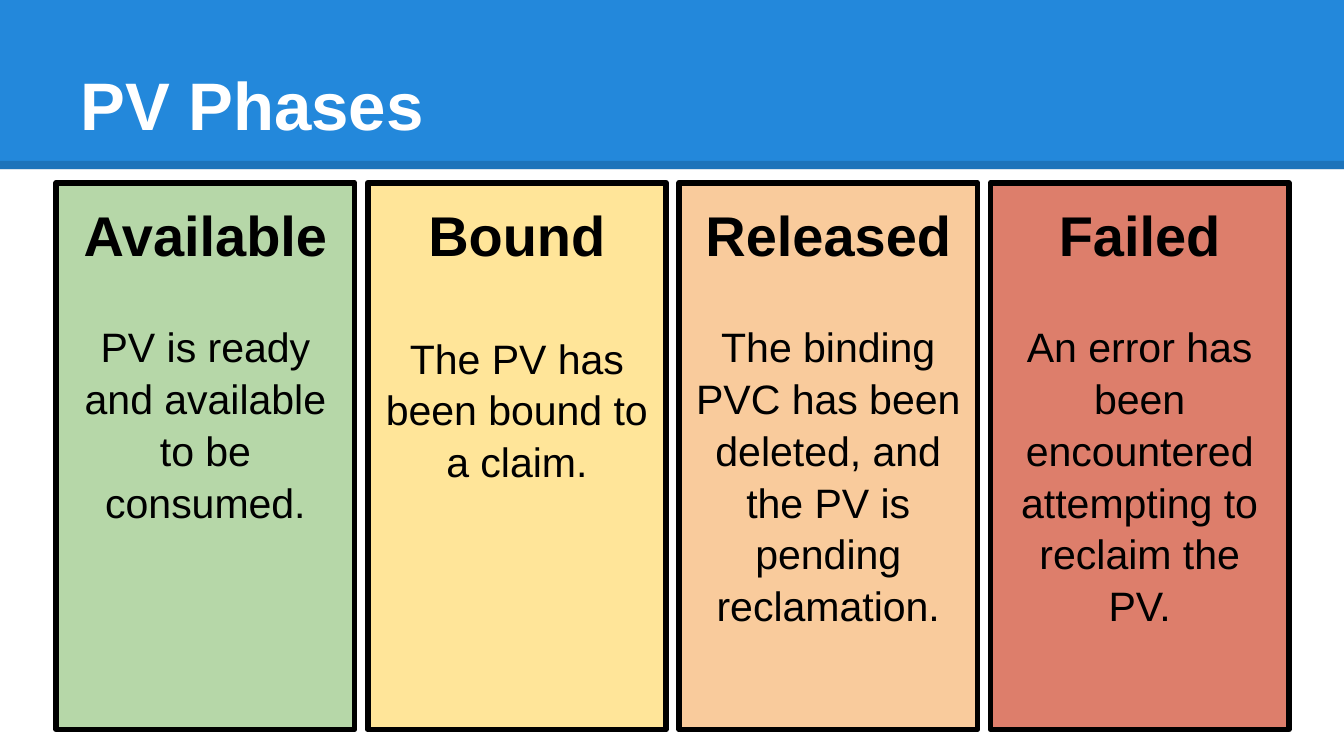
import pptx
import pptx.util
import pptx.dml.color
import pptx.enum.shapes
import pptx.enum.text
import pptx.oxml
import pptx.oxml.ns
from lxml import etree

Pt = pptx.util.Pt
SHAPE = pptx.enum.shapes.MSO_SHAPE.RECTANGLE
ANCHOR = pptx.enum.text.MSO_ANCHOR
ALIGN = pptx.enum.text.PP_ALIGN
FONT = "Arial"
BLACK = "000000"

# heading, text, fill, gap above the text
PHASES = [
    ("Available", "PV is ready and available to be consumed.", "B6D7A8", 27.5),
    ("Bound", "The PV has been bound to a claim.", "FFE599", 33.5),
    ("Released", "The binding PVC has been deleted, and the PV is pending "
     "reclamation.", "F9CB9C", 27.5),
    ("Failed", "An error has been encountered attempting to reclaim the PV.",
     "DD7E6B", 27.5),
]


def color(code):
    return pptx.dml.color.RGBColor.from_string(code)


def add_rect(slide, box, fill):
    shape = slide.shapes.add_shape(SHAPE, *map(Pt, box))
    shape.shadow.inherit = False
    shape.fill.solid()
    shape.fill.fore_color.rgb = color(fill)
    shape.line.fill.background()
    return shape


def set_frame(frame, anchor, top=7.2):
    frame.word_wrap = True
    frame.vertical_anchor = anchor
    frame.margin_left = frame.margin_right = frame.margin_bottom = Pt(7.2)
    frame.margin_top = Pt(top)


def add_run(para, text, size, bold, code):
    run = para.add_run()
    run.text = text
    run.font.name = FONT
    run.font.size = Pt(size)
    run.font.bold = bold
    run.font.color.rgb = color(code)


def add_header(slide, box, text):
    left, top, width, height = box
    add_rect(slide, box, "2388DB")

    # Darker edge along the foot of the band
    edge = top + height - 2.25
    line = slide.shapes.add_connector(
        pptx.enum.shapes.MSO_CONNECTOR.STRAIGHT,
        Pt(left), Pt(edge), Pt(left + width), Pt(edge))
    line.line.width = Pt(4.5)
    line.line.color.rgb = color(BLACK)
    props = line._element.spPr
    tint = props.find(".//" + pptx.oxml.ns.qn("a:srgbClr"))
    etree.SubElement(tint, pptx.oxml.ns.qn("a:alpha"), val="15000")
    etree.SubElement(props, pptx.oxml.ns.qn("a:effectLst"))

    # Title
    title = slide.shapes.add_textbox(
        Pt(left + 36), Pt(top + 16.5), Pt(width - 72), Pt(67.7))
    set_frame(title.text_frame, ANCHOR.BOTTOM)
    add_run(title.text_frame.paragraphs[0], text, 36, True, "FFFFFF")


def add_card(slide, box, head, text, fill, gap):
    card = add_rect(slide, box, fill)
    card.line.color.rgb = color(BLACK)
    card.line.width = Pt(3)
    frame = card.text_frame
    set_frame(frame, ANCHOR.TOP, 8)
    first, second = frame.paragraphs[0], frame.add_paragraph()
    second.space_before = Pt(gap)
    for para, words, size, bold in ((first, head, 30, True),
                                    (second, text, 22, False)):
        para.alignment = ALIGN.CENTER
        para.line_spacing = 1.05
        add_run(para, words, size, bold, BLACK)


def add_cards(slide, box, gutter):
    left, top, width, height = box
    count = len(PHASES)
    wide = (width - gutter * (count - 1)) / count
    for i, phase in enumerate(PHASES):
        spot = (left + i * (wide + gutter), top, wide, height)
        add_card(slide, spot, *phase)


def main():
    deck = pptx.Presentation()
    deck.slide_width, deck.slide_height = Pt(720), Pt(405)
    slide = deck.slides.add_slide(deck.slide_layouts[6])
    add_header(slide, (0, 0, 720, 90.7), "PV Phases")
    add_cards(slide, (30.2, 97.9, 660.3, 293), 7)
    deck.save("out.pptx")


if __name__ == "__main__":
    main()
